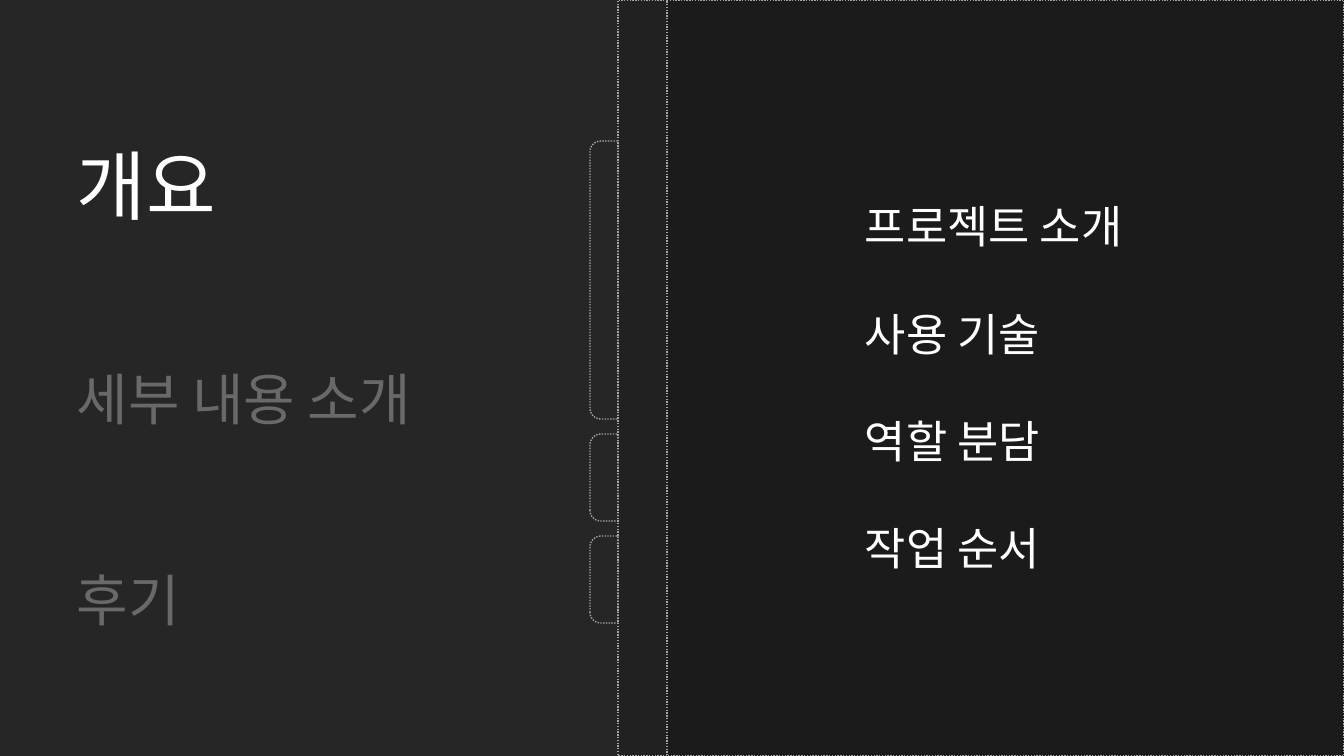
from lxml import etree
from pptx import Presentation
from pptx import util as u
from pptx.dml.color import RGBColor
from pptx.enum import dml, shapes, text
from pptx.oxml.ns import qn

WIDTH, HEIGHT = 1344, 756
COLORS = {"page": "262626", "spine": "212121", "panel": "1B1B1B",
          "line": "A6A6A6", "text": "FFFFFF"}

SECTIONS = [("개요", 54), ("세부 내용 소개", 40), ("후기", 40)]
TOPICS = [("프로젝트 소개", 32), ("사용 기술", 32), ("역할 분담", 32), ("작업 순서", 32)]

SPINE_LEFT, PANEL_LEFT = 618, 667
TAB_TOP, TAB_DEPTH, TAB_GAP = 141, 28, 15
TAB_LENGTHS = [278, 87, 87]
VEIL = (20, 298, 559, 361)
VEIL_OPACITY = 69

SECTION_BOX = dict(frame=(67, 89, 503, 543), wrap=True, line_spacing=1.5, gap=72)
TOPIC_BOX = dict(frame=(855, 194, 302, 390), wrap=False, line_spacing=1.0, gap=38.3)


def px(value):
    return round(value * 914400 / 100.8)


def color(name):
    return RGBColor.from_string(COLORS[name])


def add_block(page, kind, frame, fill=None, outlined=True):
    block = page.shapes.add_shape(kind, *map(px, frame))
    block.shadow.inherit = False
    if fill:
        block.fill.solid()
        block.fill.fore_color.rgb = color(fill)
    else:
        block.fill.background()
    if outlined:
        block.line.color.rgb = color("line")
        block.line.width = u.Pt(1)
        block.line.dash_style = dml.MSO_LINE.ROUND_DOT
    else:
        block.line.fill.background()
    return block


def add_tabs(page):
    """Stack the index tabs that stick out to the left of the spine."""
    top = TAB_TOP
    for length in TAB_LENGTHS:
        center_x, center_y = SPINE_LEFT - TAB_DEPTH / 2, top + length / 2
        frame = (center_x - length / 2, center_y - TAB_DEPTH / 2, length, TAB_DEPTH)
        tab = add_block(page, shapes.MSO_SHAPE.ROUND_2_SAME_RECTANGLE, frame)
        tab.adjustments[0] = 0.385
        tab.rotation = 270
        top += length + TAB_GAP


def add_veil(page):
    """Dim the sections that are not current."""
    veil = add_block(page, shapes.MSO_SHAPE.RECTANGLE, VEIL, "page", outlined=False)
    tint = veil._element.spPr.find(qn("a:solidFill"))[0]
    etree.SubElement(tint, qn("a:alpha"), val=str(VEIL_OPACITY * 1000))


def add_list(page, entries, frame, wrap, line_spacing, gap):
    box = page.shapes.add_textbox(*map(px, frame))
    box.text_frame.word_wrap = wrap
    box.text_frame.auto_size = text.MSO_AUTO_SIZE.SHAPE_TO_FIT_TEXT
    for index, (words, size) in enumerate(entries):
        para = box.text_frame.paragraphs[0] if index == 0 else box.text_frame.add_paragraph()
        para.line_spacing = line_spacing
        if index:
            para.space_before = u.Pt(gap)
        span = para.add_run()
        span.text = words
        for name, value in {"name": "Calibri", "size": u.Pt(size)}.items():
            setattr(span.font, name, value)
        span.font.color.rgb = color("text")


def main():
    deck = Presentation()
    deck.slide_width, deck.slide_height = px(WIDTH), px(HEIGHT)
    page = deck.slides.add_slide(deck.slide_layouts[6])
    page.background.fill.solid()
    page.background.fill.fore_color.rgb = color("page")

    add_list(page, SECTIONS, **SECTION_BOX)
    rectangle = shapes.MSO_SHAPE.RECTANGLE
    add_block(page, rectangle, (SPINE_LEFT, 0, WIDTH - SPINE_LEFT, HEIGHT), "spine")
    add_tabs(page)
    add_block(page, rectangle, (PANEL_LEFT, 0, WIDTH - PANEL_LEFT, HEIGHT), "panel")
    add_veil(page)
    add_list(page, TOPICS, **TOPIC_BOX)
    deck.save("out.pptx")


if __name__ == "__main__":
    main()
